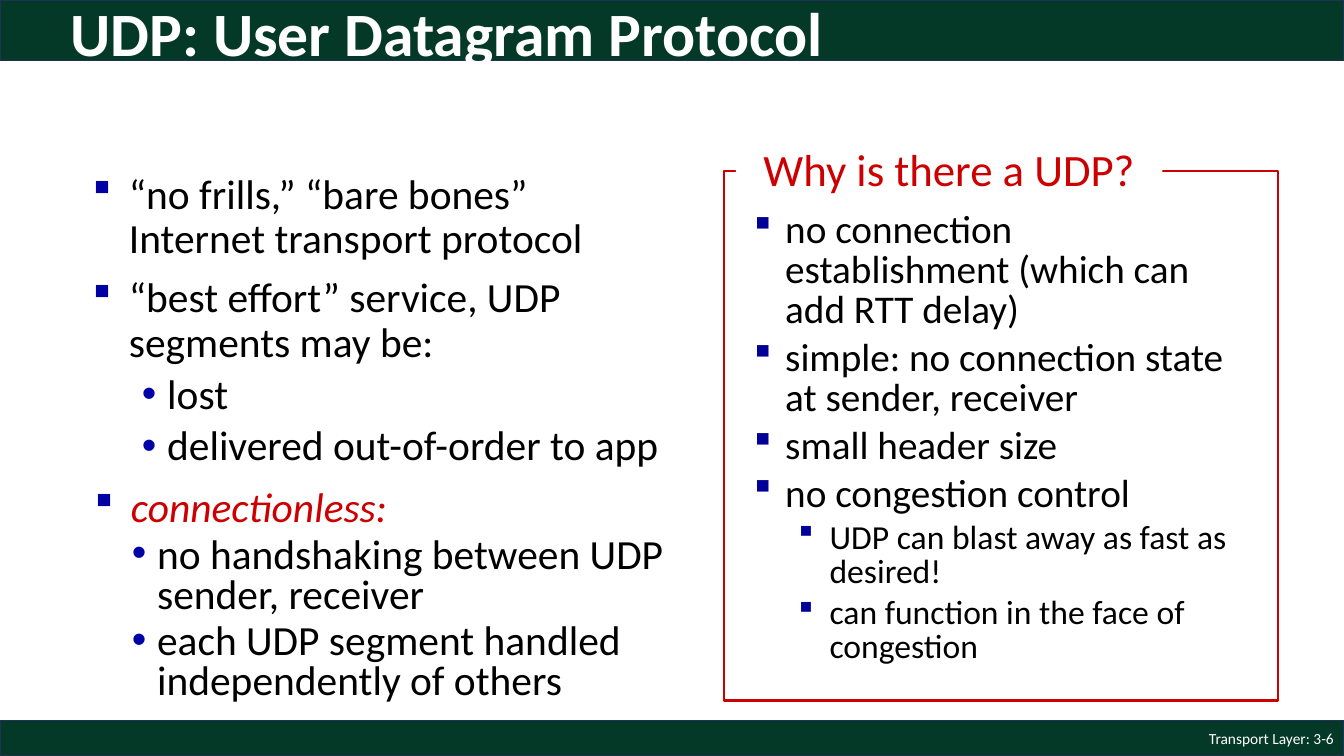
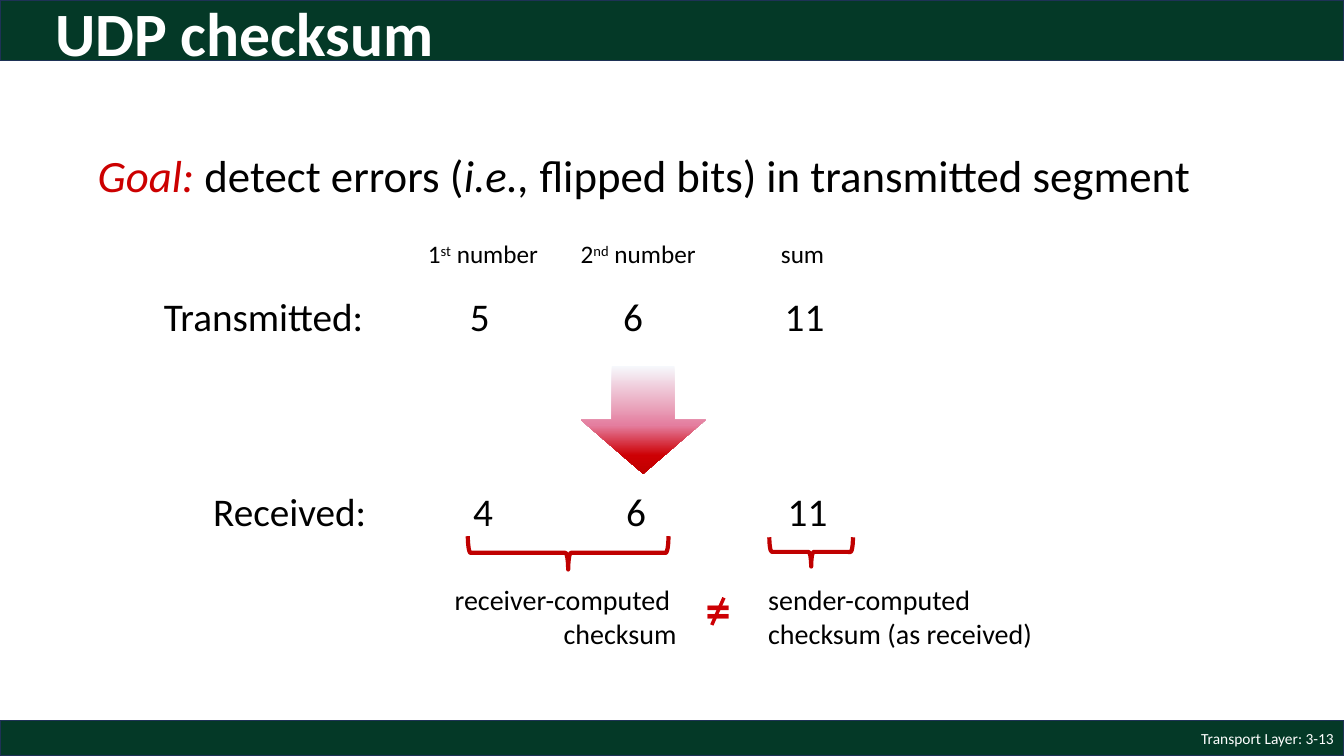
from dataclasses import dataclass

from lxml.etree import SubElement
from pptx import Presentation
from pptx.dml.color import RGBColor
from pptx.enum.shapes import MSO_CONNECTOR, MSO_SHAPE
from pptx.enum.text import MSO_ANCHOR, PP_ALIGN
from pptx.oxml.ns import qn
from pptx.util import Emu, Pt

PX = 9144
W, H = 1333, 750


@dataclass(frozen=True)
class Theme:
    font: str = "Calibri"
    band: str = "043927"
    band_line: str = "1E3256"
    white: str = "FFFFFF"
    ink: str = "000000"
    red: str = "CC0000"
    sign: str = "CD0004"
    brace: str = "C00000"
    square: str = "0000A3"
    dot: str = "0000A8"
    panel_square: str = "000099"
    title: float = 44
    sign_size: float = 36
    heading: float = 32
    body: float = 29.6
    value: float = 28
    detail: float = 24
    note: float = 20
    label: float = 18
    footer: float = 11


T = Theme()
SQUARE, DOT = ("Wingdings", "§"), ("Arial", "•")

LEVELS = {
    "main": dict(margin=50, hang=36, bullet=SQUARE, bullet_color=T.square, before=10, size=T.body),
    "sub": dict(margin=88, hang=25, bullet=DOT, bullet_color=T.dot, before=5, size=T.body),
    "close_sub": dict(margin=76, hang=25, bullet=DOT, bullet_color=T.dot, before=5, size=T.body),
    "why": dict(margin=31, hang=31, bullet=SQUARE, bullet_color=T.panel_square,
                before=5.6, size=T.value),
    "why_sub": dict(margin=75, hang=31, bullet=SQUARE, bullet_color=T.panel_square,
                    before=4.8, size=T.detail),
}

RED_ITALIC = dict(color=T.red, italic=True)

SERVICE = [
    ("main", "“no frills,” “bare bones” Internet transport protocol"),
    ("main", "“best effort” service, UDP segments may be:"),
    ("sub", "lost"),
    ("sub", "delivered out-of-order to app"),
]
CONNECTIONLESS = [
    ("main", [("connectionless:", RED_ITALIC)]),
    ("close_sub", "no handshaking between UDP sender, receiver"),
    ("close_sub", "each UDP segment handled independently of others"),
]
WHY = [
    ("why", "no connection establishment (which can add RTT delay)"),
    ("why", "simple: no connection state at sender, receiver"),
    ("why", "small header size"),
    ("why", "no congestion control"),
    ("why_sub", "UDP can blast away as fast as desired!"),
    ("why_sub", "can function in the face of congestion"),
]

GOAL = [
    ("Goal:", RED_ITALIC),
    (" detect errors (", {}),
    ("i.e., ", dict(italic=True)),
    ("flipped bits) in transmitted segment", {}),
]
SUPER = dict(baseline=30000)
HEADERS = [
    (479, [("1", {}), ("st", SUPER), (" number", {})]),
    (633, [("2", {}), ("nd", SUPER), (" number", {})]),
    (796, "sum"),
]
COLUMNS = [476, 628, 798]
ROWS = [
    (0, 290, "Transmitted:", ["5", "6", "11"]),
    (3, 484, "Received:", ["4", "6", "11"]),
]
BRACES = [(547, 449, 33, 199), (790, 506, 29, 83)]
CHECKSUMS = [
    ((438, 573, 243, 77), PP_ALIGN.RIGHT, ["receiver-computed ", "checksum"]),
    ((752, 573, 285, 77), PP_ALIGN.LEFT, ["sender-computed", "checksum (as received)"]),
]
ARROW_STOPS = [(0, "F6F8FC"), (55, "E47E9F"), (83, "CD0004"), (100, "C00000")]


def px(*lengths):
    return [Emu(n * PX) for n in lengths]


def rgb(color):
    return RGBColor.from_string(color)


def add_bullet(p, margin, hang, bullet, bullet_color):
    pPr = p._p.get_or_add_pPr()
    pPr.set("marL", str(margin * PX))
    pPr.set("indent", str(-hang * PX))
    clr = SubElement(pPr, qn("a:buClr"))
    SubElement(clr, qn("a:srgbClr"), val=bullet_color)
    font, char = bullet
    SubElement(pPr, qn("a:buFont"), typeface=font)
    SubElement(pPr, qn("a:buChar"), char=char)


def write(p, content, size, color=T.ink, bold=False, align=PP_ALIGN.LEFT, spacing=1.0, before=0):
    p.alignment = align
    p.line_spacing = spacing
    p.space_before = Pt(before)
    runs = [(content, {})] if isinstance(content, str) else content
    for text, look in runs:
        r = p.add_run()
        r.text = text
        r.font.name = T.font
        r.font.size = Pt(size)
        r.font.bold = bold
        r.font.italic = look.get("italic", False)
        r.font.color.rgb = rgb(look.get("color", color))
        if "baseline" in look:
            r.font._element.set("baseline", str(look["baseline"]))


def paragraphs(tf, count):
    return [tf.paragraphs[0]] + [tf.add_paragraph() for _ in range(count - 1)]


def add_text(s, box, lines, size, wrap=True, anchor=MSO_ANCHOR.TOP, **look):
    tf = s.shapes.add_textbox(*px(*box)).text_frame
    tf.word_wrap = wrap
    tf.vertical_anchor = anchor
    for p, line in zip(paragraphs(tf, len(lines)), lines):
        write(p, line, size, **look)


def add_list(s, box, items, spacing):
    tf = s.shapes.add_textbox(*px(*box)).text_frame
    tf.word_wrap = True
    for p, (name, content) in zip(paragraphs(tf, len(items)), items):
        level = LEVELS[name]
        p.level = int(name.endswith("sub"))
        write(p, content, level["size"], spacing=spacing, before=level["before"])
        add_bullet(p, level["margin"], level["hang"], level["bullet"], level["bullet_color"])


def add_shape(s, kind, box, fill=None, line=None, weight=1):
    sp = s.shapes.add_shape(kind, *px(*box))
    sp.shadow.inherit = False
    if fill:
        sp.fill.solid()
        sp.fill.fore_color.rgb = rgb(fill)
    else:
        sp.fill.background()
    if line:
        sp.line.color.rgb = rgb(line)
        sp.line.width = Pt(weight)
    else:
        sp.line.fill.background()
    return sp


def add_slide(prs, title, left, number):
    s = prs.slides.add_slide(prs.slide_layouts[6])
    for top, height in ((0, 60), (715, 35)):
        add_shape(s, MSO_SHAPE.RECTANGLE, (0, top, W, height), T.band, T.band_line)
    add_text(s, (1033, 715, 300, 35), [f"Transport Layer: 3-{number}"], T.footer,
             anchor=MSO_ANCHOR.MIDDLE, color=T.white, align=PP_ALIGN.RIGHT)
    add_text(s, (left, -13, 1214, 98), [title], T.title,
             anchor=MSO_ANCHOR.MIDDLE, color=T.white, bold=True, spacing=0.9)
    return s


def build_protocol(prs):
    s = add_slide(prs, "UDP: User Datagram Protocol", 60, 6)
    add_list(s, (68, 167, 607, 320), SERVICE, 0.9)
    add_list(s, (70, 482, 607, 225), CONNECTIONLESS, 0.8)
    add_shape(s, MSO_SHAPE.RECTANGLE, (718, 170, 550, 525), line=T.red, weight=1.5)
    add_list(s, (738, 205, 503, 436), WHY, 0.85)
    heading = add_shape(s, MSO_SHAPE.RECTANGLE, (730, 146, 423, 54), T.white)
    tf = heading.text_frame
    tf.vertical_anchor = MSO_ANCHOR.TOP
    write(tf.paragraphs[0], "Why is there a UDP?", T.heading, T.red,
          align=PP_ALIGN.CENTER, spacing=0.8)


def add_gradient_arrow(s):
    sp = add_shape(s, MSO_SHAPE.DOWN_ARROW, (576, 363, 124, 107))
    sp.fill.gradient()
    sp.fill.gradient_angle = 270
    stops = sp._element.spPr.find(qn("a:gradFill")).find(qn("a:gsLst"))
    for gs in list(stops):
        stops.remove(gs)
    for percent, color in ARROW_STOPS:
        gs = SubElement(stops, qn("a:gs"), pos=str(percent * 1000))
        SubElement(gs, qn("a:srgbClr"), val=color)


def add_not_equal(s):
    add_text(s, (690, 569, 45, 71), ["="], T.sign_size, wrap=False, color=T.sign, bold=True)
    slash = s.shapes.add_connector(MSO_CONNECTOR.STRAIGHT, *px(718, 593, 706, 620))
    slash.line.color.rgb = rgb(T.sign)
    slash.line.width = Pt(2.5)
    SubElement(slash._element.spPr, qn("a:effectLst"))


def build_checksum(prs):
    s = add_slide(prs, "UDP checksum", 45, 13)
    add_text(s, (87, 150, 1214, 93), [GOAL], T.heading, spacing=0.85)
    cell = 150
    for center, header in HEADERS:
        add_text(s, (center - cell // 2, 232, cell, 40), [header], T.label, align=PP_ALIGN.CENTER)
    for shift, top, label, values in ROWS:
        add_text(s, (120 + shift, top, 250, 63), [label], T.value,
                 align=PP_ALIGN.RIGHT, spacing=0.9)
        for center, value in zip(COLUMNS, values):
            add_text(s, (center + shift - cell // 2, top, cell, 63), [value], T.value,
                     align=PP_ALIGN.CENTER, spacing=0.9)
    add_gradient_arrow(s)
    for box in BRACES:
        add_shape(s, MSO_SHAPE.RIGHT_BRACE, box, line=T.brace, weight=3).rotation = 90
    for box, align, lines in CHECKSUMS:
        add_text(s, box, lines, T.note, wrap=False, align=align)
    add_not_equal(s)


def main():
    prs = Presentation()
    prs.slide_width, prs.slide_height = px(W, H)
    build_protocol(prs)
    build_checksum(prs)
    prs.save("out.pptx")


if __name__ == "__main__":
    main()
